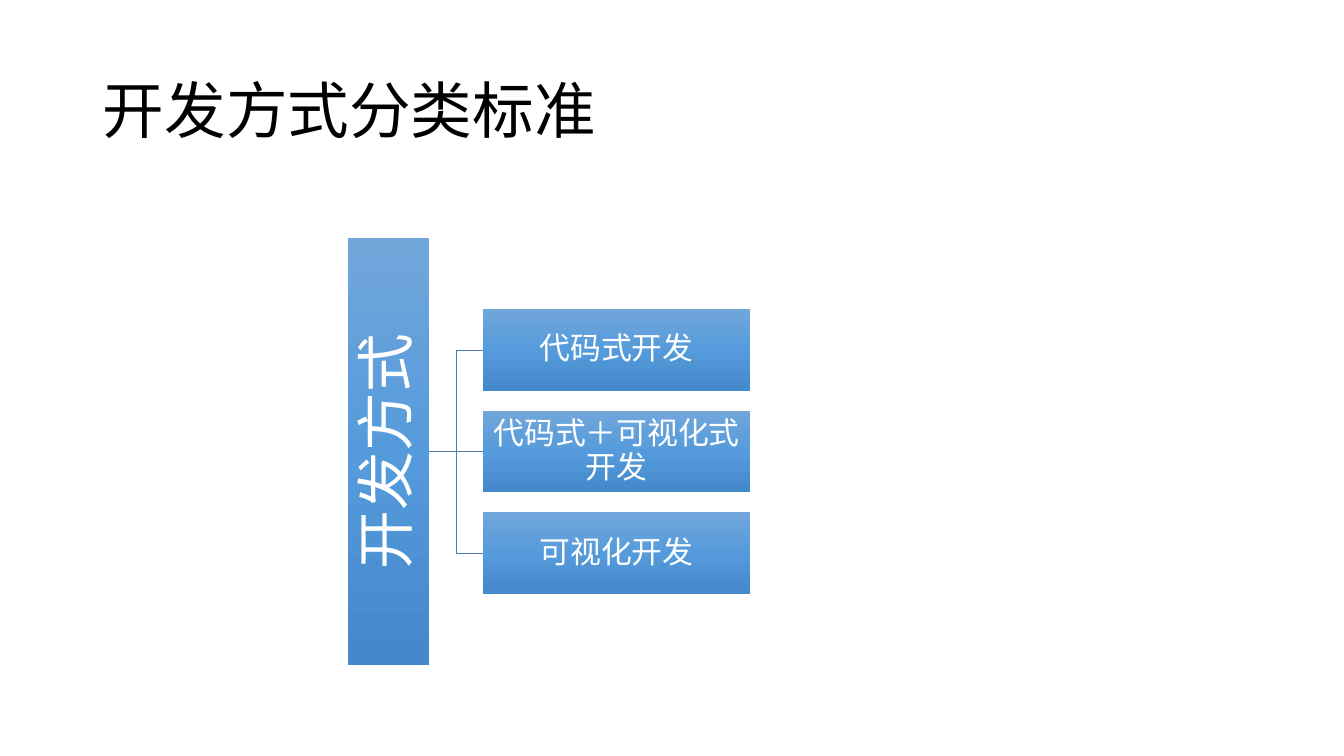
from copy import deepcopy

from lxml import etree
from pptx import Presentation
from pptx import util as u
from pptx.dml.color import RGBColor
from pptx.enum import shapes, text
from pptx.oxml import ns

FONT = "Noto Sans CJK SC"
GRADIENT = [(0, "71A6DB"), (0.5, "559BDB"), (1, "448ACA")]
LINE = "497CAB"
SLIDE_W, SLIDE_H = 13.33, 7.5


def colour(value):
    return RGBColor.from_string(value)


def write(shape, words, size=22, color="FFFFFF", align=text.PP_ALIGN.CENTER, inset=0.02):
    tf = shape.text_frame
    tf.word_wrap = True
    tf.auto_size = text.MSO_AUTO_SIZE.NONE
    tf.vertical_anchor = text.MSO_ANCHOR.MIDDLE
    tf.margin_left = tf.margin_right = u.Inches(inset)
    tf.margin_top = tf.margin_bottom = u.Inches(inset)
    p = tf.paragraphs[0]
    p.alignment = align
    p.line_spacing = 0.9
    r = p.add_run()
    r.text = words
    r.font.size = u.Pt(size)
    r.font.name = FONT
    r.font.color.rgb = colour(color)
    etree.SubElement(r.font._element, ns.qn("a:ea"), typeface=FONT)


def add_title(s, words, left, top, width, height):
    title = s.shapes.title
    title.left, title.top = u.Inches(left), u.Inches(top)
    title.width, title.height = u.Inches(width), u.Inches(height)
    write(title, words, size=44, color="000000", align=text.PP_ALIGN.LEFT, inset=0.1)


def add_box(s, left, top, width, height):
    sp = s.shapes.add_shape(shapes.MSO_SHAPE.RECTANGLE, *map(u.Inches, (left, top, width, height)))
    sp.shadow.inherit = False
    sp.line.fill.background()
    sp.fill.gradient()
    sp.fill.gradient_angle = 270
    stops = sp.element.spPr.find(".//" + ns.qn("a:gsLst"))
    stops.append(deepcopy(stops[-1]))
    for stop, (position, value) in zip(sp.fill.gradient_stops, GRADIENT):
        stop.position = position
        stop.color.rgb = colour(value)
    return sp


def join(s, root, branch):
    start_y, end_y = (sp.top + sp.height // 2 for sp in (root, branch))
    level = abs(start_y - end_y) < u.Inches(0.01)
    kind = shapes.MSO_CONNECTOR.STRAIGHT if level else shapes.MSO_CONNECTOR.ELBOW
    line = s.shapes.add_connector(kind, root.left + root.width, start_y, branch.left, end_y)
    line.begin_connect(root, 3)
    line.end_connect(branch, 1)
    line.line.color.rgb = colour(LINE)
    line.line.width = u.Pt(0.5)
    etree.SubElement(line._element.spPr, ns.qn("a:effectLst"))


def add_tree(s, root_words, branches, left, top, width, height):
    row = height * 0.19
    pitch = row * 1.25
    branch_w = width - row * 5 / 3
    middle = top + height / 2
    root = add_box(s, left, top, row, height)
    write(root, root_words, size=42, inset=0.03)
    root.text_frame._txBody.bodyPr.set("vert", "vert270")
    for i, words in enumerate(branches):
        y = middle + (i - (len(branches) - 1) / 2) * pitch - row / 2
        branch = add_box(s, left + width - branch_w, y, branch_w, row)
        write(branch, words)
        join(s, root, branch)


def main():
    prs = Presentation()
    prs.slide_width, prs.slide_height = u.Inches(SLIDE_W), u.Inches(SLIDE_H)
    s = prs.slides.add_slide(prs.slide_layouts[5])
    add_title(s, "开发方式分类标准", 0.92, 0.4, 11.5, 1.45)
    branches = ["代码式开发", "代码式＋可视化式 开发", "可视化开发"]
    add_tree(s, "开发方式", branches, 3.45, 2.36, 3.99, 4.24)
    prs.save("out.pptx")


if __name__ == "__main__":
    main()
